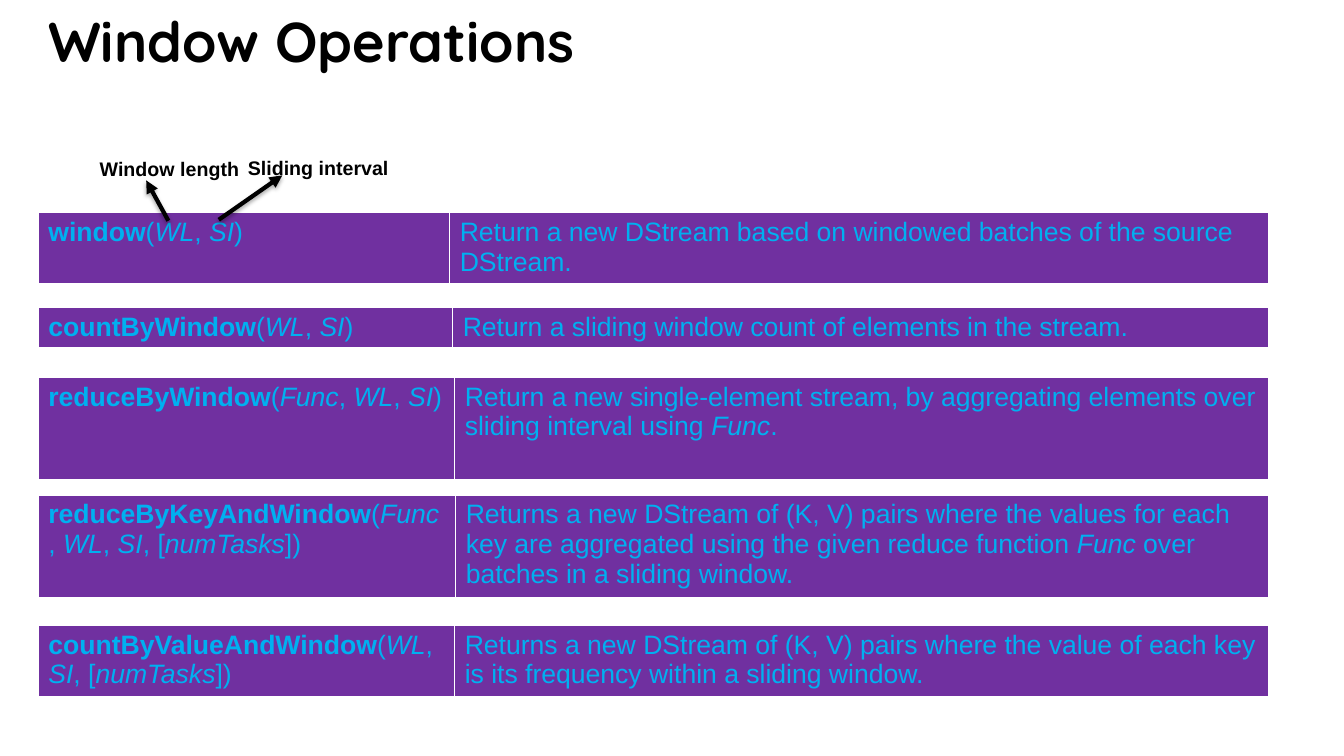
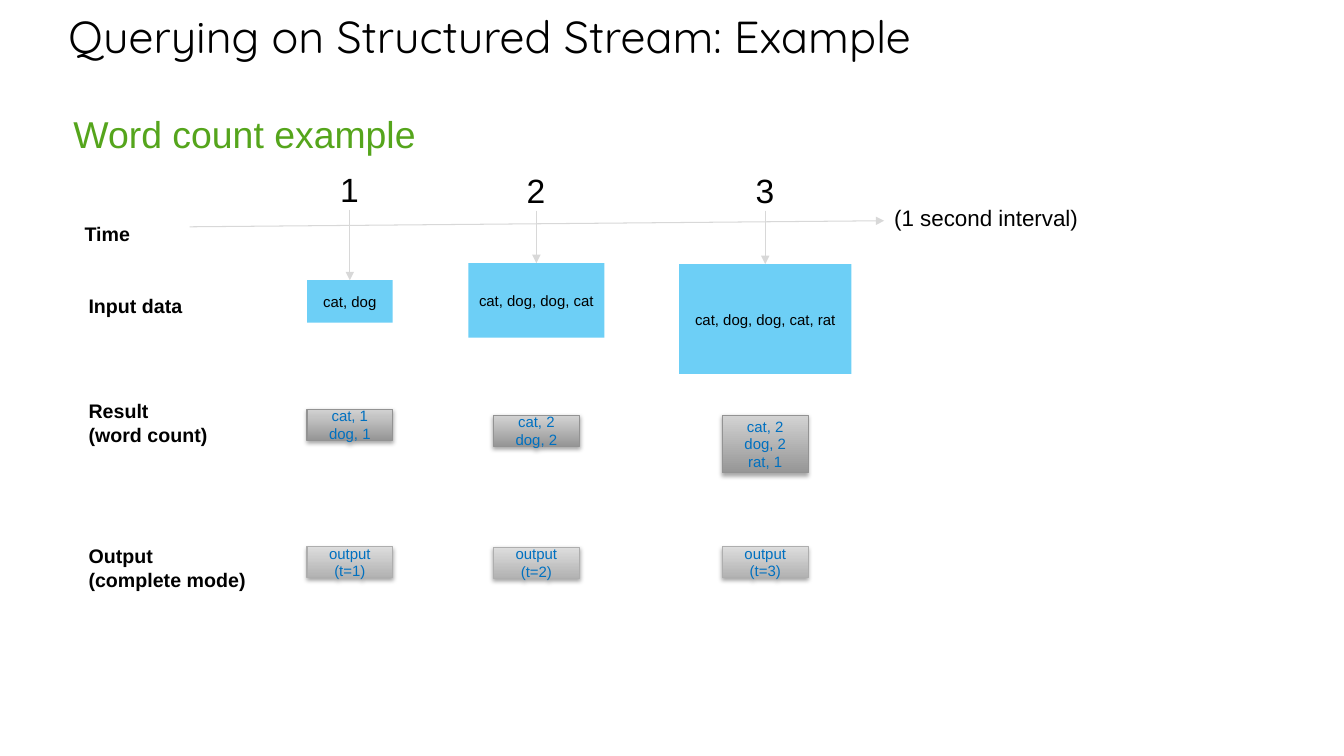
from lxml import etree
from pptx import Presentation
from pptx import util as u
from pptx.dml.color import RGBColor
from pptx.enum import shapes, text
from pptx.oxml import parse_xml
from pptx.oxml.ns import nsdecls, qn

HUES = {
    "ink": "000000", "white": "FFFFFF", "plum": "7030A0", "cyan": "00B0F0",
    "sky": "6DCFF6", "blue": "0070C0", "green": "55A51C", "pale": "D8D8D8",
}
GREYS = {
    "dark": {"low": "969696", "high": "D3D3D3", "edge": "939393"},
    "light": {"low": "B2B2B2", "high": "DDDDDD", "edge": "AEAEAE"},
}
SHADE = (
    f'<a:outerShdw {nsdecls("a")} blurRad="39370" dist="22860" dir="5400000" rotWithShape="0">'
    '<a:srgbClr val="000000"><a:alpha val="35000"/></a:srgbClr></a:outerShdw>'
)
EDGES = {"lnL": 1, "lnR": 1, "lnT": 1, "lnB": 3}


def hue(name):
    return RGBColor.from_string(HUES.get(name, name))


def apply(item, vals):
    for key, val in vals.items():
        setattr(item, key, val)


class Deck:
    def __init__(self):
        self.prs = Presentation()
        apply(self.prs, {"slide_width": u.Inches(13.33), "slide_height": u.Inches(7.5)})
        self.slide = None

    def page(self, title, left, top, width, height, size, bold=False):
        self.slide = self.prs.slides.add_slide(self.prs.slide_layouts[6])
        frame = self.label(title, left, top, width, height, size, bold=bold, face="Quicksand")
        pad = u.Inches(0.1)
        apply(frame, {
            "word_wrap": True, "auto_size": text.MSO_AUTO_SIZE.NONE,
            "vertical_anchor": text.MSO_ANCHOR.BOTTOM,
            "margin_top": pad, "margin_bottom": pad,
        })

    def words(self, frame, lines, size, tint="ink", bold=False, face="Arial", align=None, lead=""):
        for num, line in enumerate(lines.split("\n")):
            para = frame.paragraphs[0] if num == 0 else frame.add_paragraph()
            para.alignment = align
            runs = [(lead, True, False)]
            runs += [(part, bold, i % 2 == 1) for i, part in enumerate(line.split("_"))]
            for part, thick, slant in runs:
                if part:
                    run = para.add_run()
                    run.text = part
                    apply(run.font, {"name": face, "size": u.Pt(size), "bold": thick, "italic": slant})
                    run.font.color.rgb = hue(tint)

    def label(self, lines, left, top, width, height, size=14, **style):
        box = self.slide.shapes.add_textbox(*map(u.Inches, (left, top, width, height)))
        frame = box.text_frame
        apply(frame, {"word_wrap": False, "auto_size": text.MSO_AUTO_SIZE.SHAPE_TO_FIT_TEXT})
        self.words(frame, lines, size, **style)
        return frame

    def block(self, lines, mid, top, width, height, grey=None):
        box = self.slide.shapes.add_shape(
            shapes.MSO_SHAPE.RECTANGLE, *map(u.Inches, (mid - width / 2, top, width, height)))
        box.shadow.inherit = False
        if grey:
            tone = GREYS[grey]
            box.fill.gradient()
            box.fill.gradient_angle = 90
            for stop, spot, key in zip(box.fill.gradient_stops, (0, 1), ("low", "high")):
                stop.position = spot
                stop.color.rgb = hue(tone[key])
            box.line.color.rgb = hue(tone["edge"])
            box.line.width = u.Pt(0.75)
            box._element.spPr.find(qn("a:effectLst")).append(parse_xml(SHADE))
        else:
            box.fill.solid()
            box.fill.fore_color.rgb = hue("sky")
            box.line.fill.background()
        pad = u.Inches(0.08)
        apply(box.text_frame, {
            "word_wrap": True, "vertical_anchor": text.MSO_ANCHOR.MIDDLE,
            "margin_left": pad, "margin_right": pad,
        })
        self.words(box.text_frame, lines, 10.7, "blue" if grey else "ink", align=text.PP_ALIGN.CENTER)

    def arrow(self, start, end, tint="pale", width=0.75, shade=False):
        line = self.slide.shapes.add_connector(
            shapes.MSO_CONNECTOR.STRAIGHT, *map(u.Inches, (*start, *end)))
        line.line.color.rgb = hue(tint)
        line.line.width = u.Pt(width)
        props = line._element.spPr
        etree.SubElement(props.find(qn("a:ln")), qn("a:tailEnd"), type="triangle")
        effect = etree.SubElement(props, qn("a:effectLst"))
        if shade:
            effect.append(parse_xml(SHADE))

    def table(self, name, args, note, top, height, split, left=0.38, width=12.2):
        grid = self.slide.shapes.add_table(
            1, 2, *map(u.Inches, (left, top, width, height))).table
        for col, wide in zip(grid.columns, (split, width - split)):
            col.width = u.Inches(wide)
        for cell, lead, lines in zip(grid.rows[0].cells, (name, ""), (args, note)):
            cell.fill.solid()
            cell.fill.fore_color.rgb = hue("plum")
            self.words(cell.text_frame, lines, 19, "cyan", lead=lead)
            props = cell._tc.get_or_add_tcPr()
            for num, (edge, thick) in enumerate(EDGES.items()):
                props.insert(num, parse_xml(
                    f'<a:{edge} {nsdecls("a")} w="{u.Pt(thick)}"><a:solidFill>'
                    f'<a:srgbClr val="{HUES["white"]}"/></a:solidFill></a:{edge}>'))


def windows(deck):
    deck.page("Window Operations", 0.38, 0.14, 11.5, 0.69, 40, bold=True)
    rows = [
        ("window", "(_WL_, _SI_)",
         "Return a new DStream based on windowed batches of the source DStream.", 2.11, 0.72, 4.08),
        ("countByWindow", "(_WL_, _SI_)",
         "Return a sliding window count of elements in the stream.", 3.05, 0.41, 4.11),
        ("reduceByWindow", "(_Func_, _WL_, _SI_)",
         "Return a new single-element stream, by aggregating elements over sliding interval "
         "using _Func_.", 3.74, 1.03, 4.13),
        ("reduceByKeyAndWindow", "(_Func_, _WL_, _SI_, [_numTasks_])",
         "Returns a new DStream of (K, V) pairs where the values for each key are aggregated "
         "using the given reduce function _Func_ over batches in a sliding window.", 4.91, 1.03, 4.14),
        ("countByValueAndWindow", "(_WL_, _SI_, [_numTasks_])",
         "Returns a new DStream of (K, V) pairs where the value of each key is its frequency "
         "within a sliding window.", 6.2, 0.72, 4.13),
    ]
    for row in rows:
        deck.table(*row)
    for start, end in (((1.67, 2.19), (1.45, 1.79)), ((2.17, 2.18), (2.8, 1.74))):
        deck.arrow(start, end, "ink", 3, shade=True)
    deck.label("Window length", 0.89, 1.51, 1.59, 0.34, bold=True)
    deck.label("Sliding interval", 2.36, 1.5, 1.66, 0.34, bold=True)


def query(deck):
    deck.page("Querying on Structured Stream: Example", 0.58, 0.2, 11.5, 0.52, 32)
    deck.label("Word count example", 0.63, 1.05, 3.63, 0.55, 26.7, tint="green")
    heads = [
        ("Time", 0.74, 2.15, 0.66, 0.34),
        ("Input data", 0.78, 2.87, 1.13, 0.34),
        ("Result\n(word count)", 0.78, 3.91, 1.39, 0.57),
        ("Output\n(complete mode)", 0.78, 5.35, 1.77, 0.57),
    ]
    for head in heads:
        deck.label(*head, bold=True)
    deck.label("(1 second interval)", 8.77, 1.98, 2.05, 0.37, 16)
    steps = [
        (3.47, 1.63, "cat, dog", (2.78, 0.85, 0.42), "cat, 1\ndog, 1", 4.06, 0.31, 5.42),
        (5.32, 1.64, "cat, dog, dog, cat", (2.61, 1.35, 0.74), "cat, 2\ndog, 2", 4.12, 0.31, 5.43),
        (7.59, 1.64, "cat, dog, dog, cat, rat", (2.62, 1.71, 1.09),
         "cat, 2\ndog, 2\nrat, 1", 4.12, 0.57, 5.42),
    ]
    for num, (mid, top, data, area, count, mark, tall, base) in enumerate(steps, 1):
        deck.label(str(num), mid - 0.39 / 2, top, 0.39, 0.5, 24)
        deck.block(data, mid, *area)
        deck.block(count, mid, mark, 0.85, tall, "dark")
        deck.block(f"output (t={num})", mid, base, 0.85, 0.31, "light")
        deck.arrow((mid, top + 0.45), (mid, area[0]))
    deck.arrow((1.88, 2.25), (8.77, 2.19))


def main():
    deck = Deck()
    windows(deck)
    query(deck)
    deck.prs.save("out.pptx")


if __name__ == "__main__":
    main()
